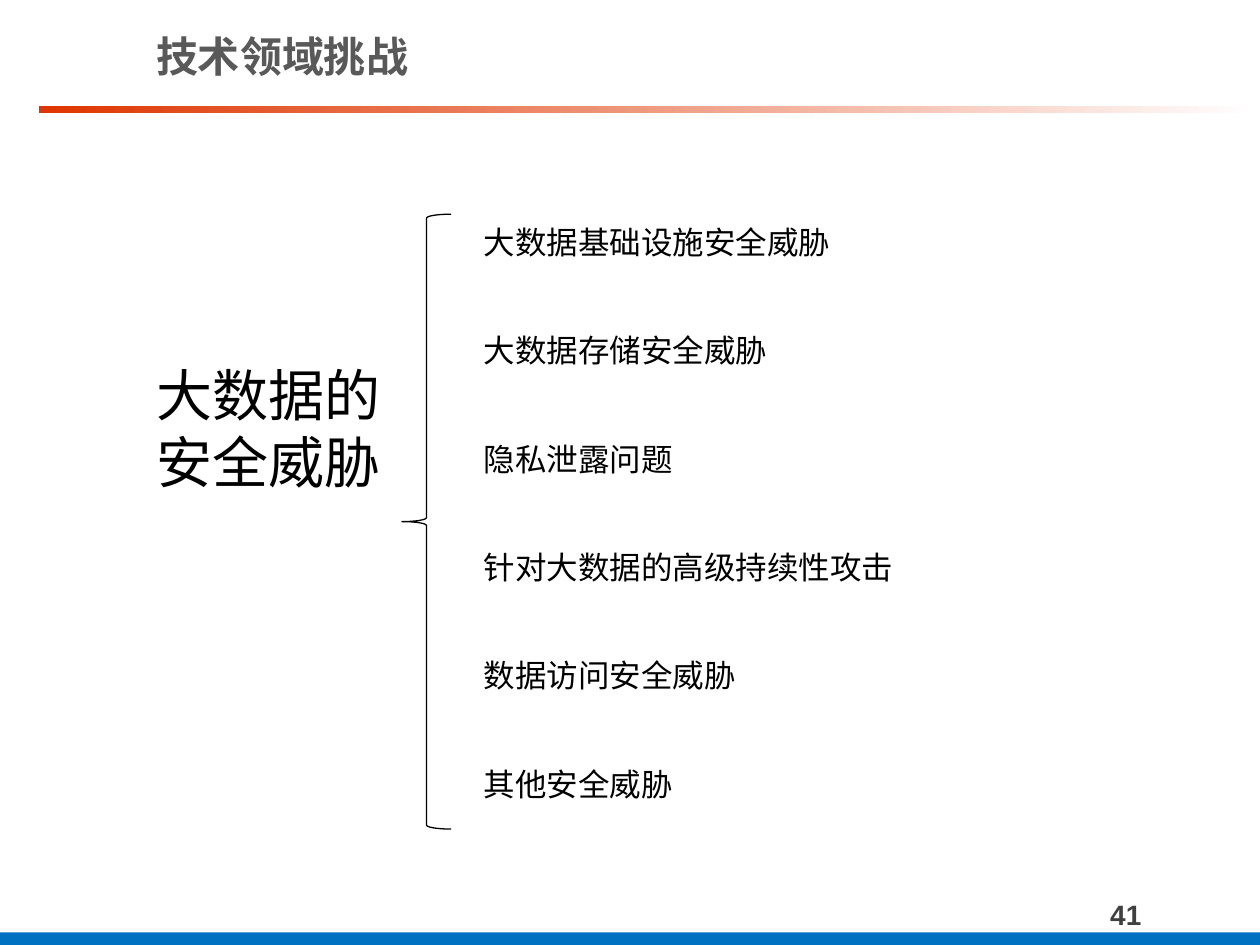
from dataclasses import dataclass

from lxml.etree import SubElement
from pptx import Presentation
from pptx.dml.color import RGBColor
from pptx.enum.shapes import MSO_SHAPE
from pptx.enum.text import MSO_ANCHOR, PP_ALIGN
from pptx.oxml.ns import qn
from pptx.shapes.autoshape import Shape
from pptx.slide import Slide
from pptx.util import Inches, Pt

COLORS = {
    "accent": "DE3500",
    "white": "FFFFFF",
    "footer": "0070C0",
    "number": "404040",
    "title": "595959",
    "text": "000000",
}
CJK_FONT = "Noto Sans CJK SC"
THREATS = [
    "大数据基础设施安全威胁",
    "大数据存储安全威胁",
    "隐私泄露问题",
    "针对大数据的高级持续性攻击",
    "数据访问安全威胁",
    "其他安全威胁",
]
THREAT_TOP = 1.72
THREAT_PITCH = 0.86


@dataclass(frozen=True)
class Box:
    left: float
    top: float
    width: float
    height: float

    def lengths(self) -> tuple[Inches, Inches, Inches, Inches]:
        return Inches(self.left), Inches(self.top), Inches(self.width), Inches(self.height)


@dataclass(frozen=True)
class Label:
    text: str
    box: Box
    size: int
    color: str = "text"
    font: str = "Arial"
    bold: bool = False
    anchor: MSO_ANCHOR = MSO_ANCHOR.TOP
    align: PP_ALIGN = PP_ALIGN.LEFT


def rgb(name: str) -> RGBColor:
    return RGBColor.from_string(COLORS[name])


def add_label(slide: Slide, label: Label) -> None:
    frame = slide.shapes.add_textbox(*label.box.lengths()).text_frame
    frame.word_wrap = True
    frame.vertical_anchor = label.anchor
    paragraph = frame.paragraphs[0]
    paragraph.alignment = label.align
    run = paragraph.add_run()
    run.text = label.text
    run.font.size = Pt(label.size)
    run.font.bold = label.bold
    run.font.name = label.font
    run.font.color.rgb = rgb(label.color)
    SubElement(run.font._element, qn("a:ea")).set("typeface", CJK_FONT)


def add_plain_shape(slide: Slide, kind: MSO_SHAPE, box: Box) -> Shape:
    shape = slide.shapes.add_shape(kind, *box.lengths())
    shape.shadow.inherit = False
    shape.fill.background()
    shape.line.fill.background()
    return shape


def add_bars(slide: Slide) -> None:
    title_rule = add_plain_shape(slide, MSO_SHAPE.RECTANGLE, Box(0.31, 0.84, 9.65, 0.06))
    title_rule.fill.gradient()
    title_rule.fill.gradient_angle = 0
    for stop, color in zip(title_rule.fill.gradient_stops, ("accent", "white")):
        stop.color.rgb = rgb(color)
    footer = add_plain_shape(slide, MSO_SHAPE.RECTANGLE, Box(0, 7.4, 10, 0.1))
    footer.fill.solid()
    footer.fill.fore_color.rgb = rgb("footer")


def add_brace(slide: Slide) -> None:
    brace = add_plain_shape(slide, MSO_SHAPE.LEFT_BRACE, Box(3.19, 1.7, 0.39, 4.88))
    brace.adjustments[0] = 0.08
    brace.adjustments[1] = 0.5
    brace.line.color.rgb = rgb("text")
    brace.line.width = Pt(0.75)


def main() -> None:
    """Build the slide on big data security threats."""
    presentation = Presentation()
    presentation.slide_width = Inches(10)
    presentation.slide_height = Inches(7.5)
    slide = presentation.slides.add_slide(presentation.slide_layouts[6])
    add_bars(slide)
    add_brace(slide)
    labels = [
        Label("41", Box(7.87, 7.07, 2.13, 0.37), 16, "number", bold=True,
              anchor=MSO_ANCHOR.MIDDLE, align=PP_ALIGN.CENTER),
        Label("大数据的安全威胁", Box(1.14, 2.81, 2.2, 1.18), 32),
        *(Label(threat, Box(3.74, THREAT_TOP + index * THREAT_PITCH, 3.55, 0.4), 18)
          for index, threat in enumerate(THREATS)),
        Label("技术领域挑战", Box(1.14, 0.13, 8.36, 0.63), 24, "title", CJK_FONT,
              bold=True, anchor=MSO_ANCHOR.MIDDLE),
    ]
    for label in labels:
        add_label(slide, label)
    presentation.save("out.pptx")


if __name__ == "__main__":
    main()
